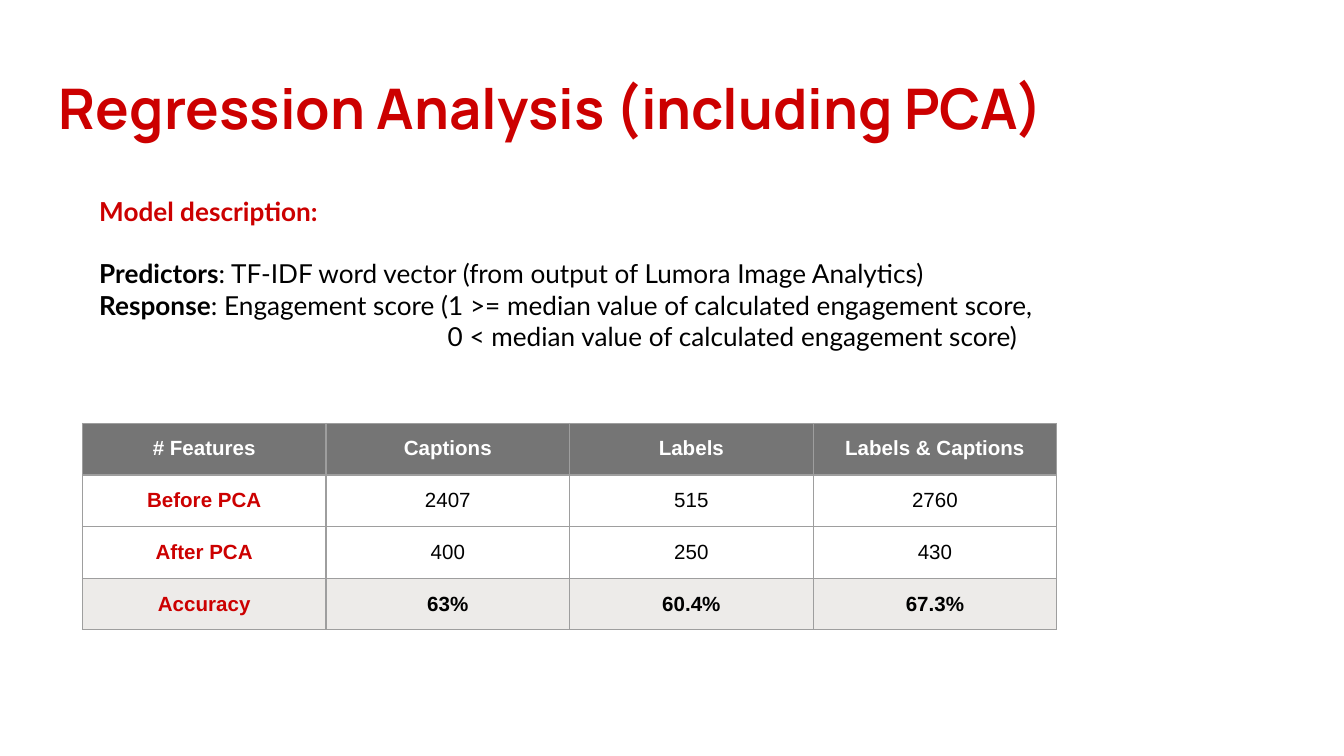
from lxml import etree
from pptx import Presentation
from pptx.dml.color import RGBColor
from pptx.enum import text as t
from pptx.oxml import ns
from pptx.util import Pt

RED, BLACK, WHITE = "CC0000", "000000", "FFFFFF"
PAD = Pt(7.2)


def style(font, name, size, color, bold):
    font.name, font.size, font.bold = name, Pt(size), bold
    font.color.rgb = RGBColor.from_string(color)


def add_borders(cell, color, width):
    """Draw all four sides of a cell; call before its fill is set."""
    props = cell._tc.get_or_add_tcPr()
    for side in ("lnL", "lnR", "lnT", "lnB"):
        line = etree.SubElement(props, ns.qn("a:" + side), w=str(Pt(width)))
        fill = etree.SubElement(line, ns.qn("a:solidFill"))
        etree.SubElement(fill, ns.qn("a:srgbClr"), val=color)


deck = Presentation()
deck.slide_width, deck.slide_height = Pt(720), Pt(405)
slide = deck.slides.add_slide(deck.slide_layouts[6])

# Title
frame = slide.shapes.add_textbox(Pt(24.5), Pt(32.4), Pt(671), Pt(50.4)).text_frame
frame.word_wrap = True
frame.vertical_anchor = t.MSO_ANCHOR.MIDDLE
frame.margin_left = frame.margin_right = PAD
frame.margin_top = frame.margin_bottom = PAD
para = frame.paragraphs[0]
para.text = "Regression Analysis (including PCA)"
style(para.font, "Manrope", 30, RED, True)

# Model description: bold lead, plain rest, colour, space before, left indent
lines = [
    ("Model description:", "", RED, 0, 0),
    ("Predictors", ": TF-IDF word vector (from output of Lumora Image Analytics)", BLACK, 16.8, 0),
    ("Response", ": Engagement score (1 >= median value of calculated engagement score,", BLACK, 0, 0),
    ("", "0 < median value of calculated engagement score)", BLACK, 0, 186.7),
]
frame = slide.shapes.add_textbox(Pt(46.1), Pt(97.2), Pt(518.4), Pt(99.4)).text_frame
frame.word_wrap = True
frame.margin_left = frame.margin_right = PAD
frame.margin_top = frame.margin_bottom = PAD
for i, (lead, rest, color, gap, indent) in enumerate(lines):
    para = frame.add_paragraph() if i else frame.paragraphs[0]
    para.space_before = Pt(gap)
    if indent:
        para._p.get_or_add_pPr().set("marL", str(Pt(indent)))
    for words, bold in ((lead, True), (rest, False)):
        if words:
            run = para.add_run()
            run.text = words
            style(run.font, "Lato", 14, color, bold)

# Feature counts and accuracy
rows = [
    ("# Features", "Captions", "Labels", "Labels & Captions"),
    ("Before PCA", "2407", "515", "2760"),
    ("After PCA", "400", "250", "430"),
    ("Accuracy", "63%", "60.4%", "67.3%"),
]
fills = ["757575", None, None, "EDEBE9"]
wide, high = 130.5, 27.2
table = slide.shapes.add_table(4, 4, Pt(44.2), Pt(226.8), Pt(4 * wide), Pt(4 * high)).table
for col in table.columns:
    col.width = Pt(wide)
for r, row in enumerate(rows):
    table.rows[r].height = Pt(high)
    for c, words in enumerate(row):
        cell = table.cell(r, c)
        add_borders(cell, "9E9E9E", 0.75)
        if fills[r]:
            cell.fill.solid()
            cell.fill.fore_color.rgb = RGBColor.from_string(fills[r])
        else:
            cell.fill.background()
        cell.margin_left = cell.margin_right = PAD
        cell.margin_top = cell.margin_bottom = PAD
        cell.vertical_anchor = t.MSO_ANCHOR.MIDDLE if r else t.MSO_ANCHOR.TOP
        para = cell.text_frame.paragraphs[0]
        para.text = words
        para.alignment = t.PP_ALIGN.CENTER
        color = WHITE if r == 0 else RED if c == 0 else BLACK
        style(para.font, "Arial", 11, color, r in (0, 3) or c == 0)

deck.save("out.pptx")
